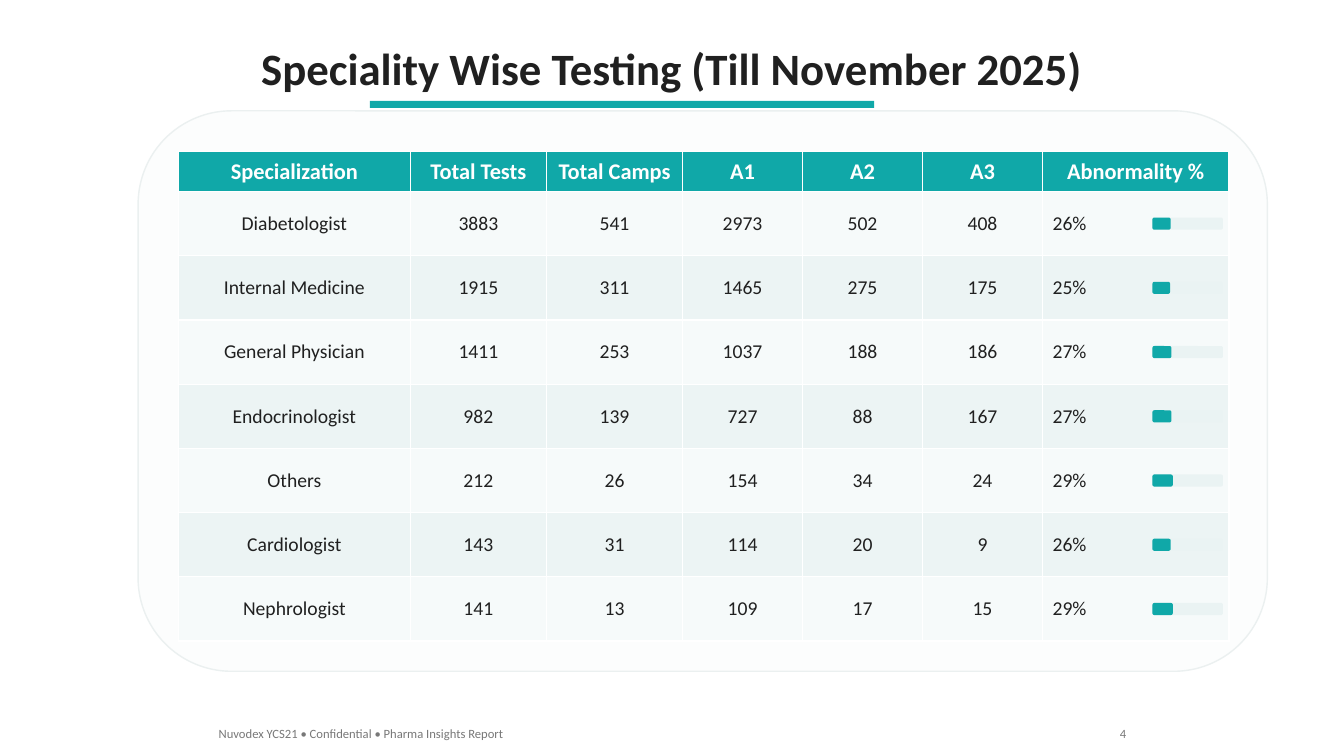
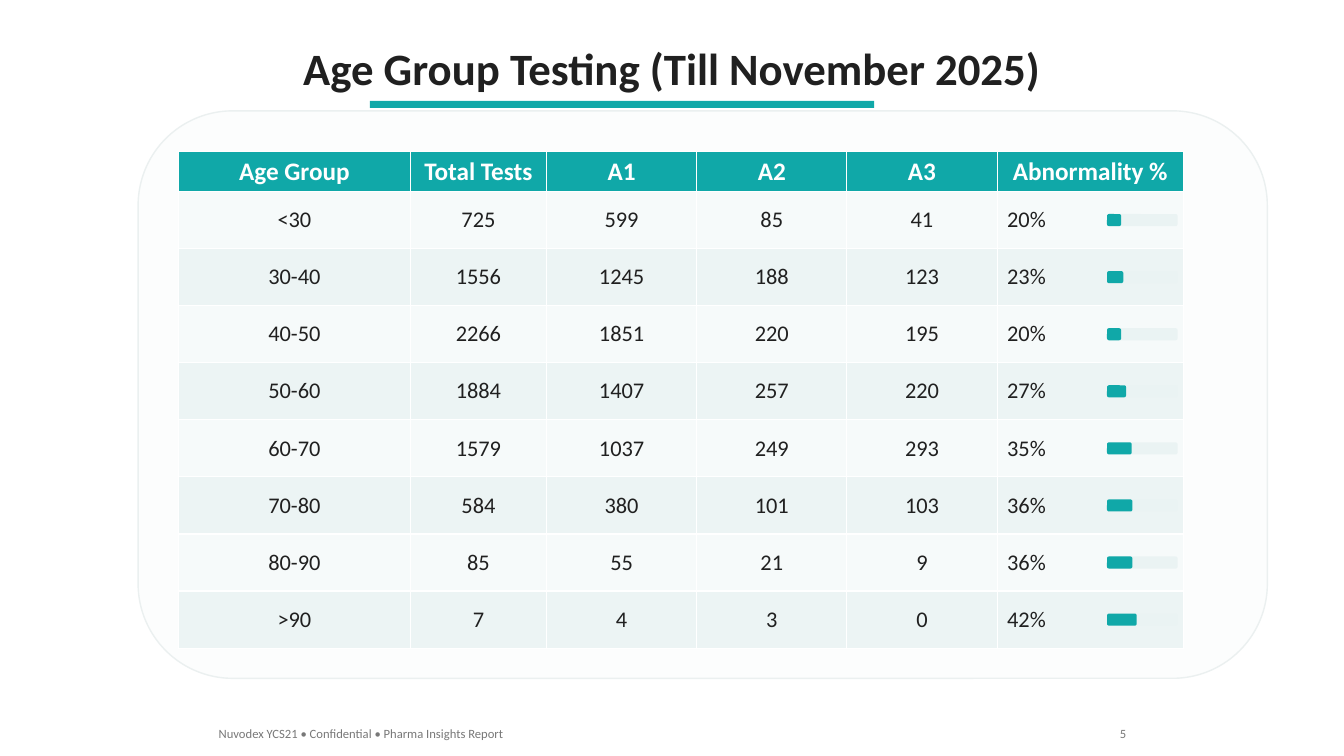
from dataclasses import dataclass

from pptx import Presentation
from pptx.dml.color import RGBColor
from pptx.enum.shapes import MSO_SHAPE
from pptx.enum.text import MSO_ANCHOR, MSO_AUTO_SIZE, PP_ALIGN
from pptx.util import Emu, Pt

SCALE = 9144
SLIDE_WIDTH, SLIDE_HEIGHT = 1333, 750
TABLE_LEFT, TABLE_TOP, HEADER_HEIGHT = 177, 150, 40
CARD_MARGIN, CARD_WIDTH, CARD_EXTRA_HEIGHT = 40, 1120, 70
BAR_WIDTH, BAR_HEIGHT, BAR_INSET = 70, 12, 76
FOOTER = "Nuvodex YCS21 • Confidential • Pharma Insights Report"


@dataclass(frozen=True)
class Theme:
    """Colours and type sizes shared by the slides."""

    font: str = "Calibri"
    accent: str = "10A8A8"
    ink: str = "202020"
    muted: str = "787878"
    white: str = "FFFFFF"
    card: str = "FCFDFD"
    card_line: str = "EBF0F0"
    track: str = "EAF3F3"
    stripes: tuple = ("F6FAFA", "ECF4F4")
    title_size: int = 32
    footer_size: int = 9


THEME = Theme()


@dataclass(frozen=True)
class Report:
    """Content and measures of one table slide."""

    title: str
    title_width: int
    page: int
    header_size: int
    body_size: int
    body_height: int
    column_widths: tuple
    headings: tuple
    rows: tuple


REPORTS = (
    Report(
        title="Speciality Wise Testing (Till November 2025)",
        title_width=843,
        page=4,
        header_size=16,
        body_size=14,
        body_height=446,
        column_widths=(230, 135, 135, 119, 119, 119, 185),
        headings=("Specialization", "Total Tests", "Total Camps", "A1", "A2", "A3", "Abnormality %"),
        rows=(
            ("Diabetologist", 3883, 541, 2973, 502, 408, 26),
            ("Internal Medicine", 1915, 311, 1465, 275, 175, 25),
            ("General Physician", 1411, 253, 1037, 188, 186, 27),
            ("Endocrinologist", 982, 139, 727, 88, 167, 27),
            ("Others", 212, 26, 154, 34, 24, 29),
            ("Cardiologist", 143, 31, 114, 20, 9, 26),
            ("Nephrologist", 141, 13, 109, 17, 15, 29),
        ),
    ),
    Report(
        title="Age Group Testing (Till November 2025)",
        title_width=759,
        page=5,
        header_size=18,
        body_size=16,
        body_height=453,
        column_widths=(230, 135, 149, 149, 149, 185),
        headings=("Age Group", "Total Tests", "A1", "A2", "A3", "Abnormality %"),
        rows=(
            ("<30", 725, 599, 85, 41, 20),
            ("30-40", 1556, 1245, 188, 123, 23),
            ("40-50", 2266, 1851, 220, 195, 20),
            ("50-60", 1884, 1407, 257, 220, 27),
            ("60-70", 1579, 1037, 249, 293, 35),
            ("70-80", 584, 380, 101, 103, 36),
            ("80-90", 85, 55, 21, 9, 36),
            (">90", 7, 4, 3, 0, 42),
        ),
    ),
)


def px(length):
    """Turn a length in px into EMU."""
    return Emu(round(length * SCALE))


def write_text(frame, text, *, size, color, bold=False, align=PP_ALIGN.LEFT):
    """Write one formatted paragraph into a text frame."""
    paragraph = frame.paragraphs[0]
    paragraph.alignment = align
    run = paragraph.add_run()
    run.text = text
    run.font.name = THEME.font
    run.font.size = Pt(size)
    run.font.bold = bold
    run.font.color.rgb = RGBColor.from_string(color)


def add_label(slide, text, left, top, width, height, **text_format):
    """Add an unwrapped text box that fits its text."""
    frame = slide.shapes.add_textbox(px(left), px(top), px(width), px(height)).text_frame
    frame.word_wrap = False
    frame.auto_size = MSO_AUTO_SIZE.SHAPE_TO_FIT_TEXT
    write_text(frame, text, **text_format)


def add_block(slide, left, top, width, height, *, fill, line=None, kind=MSO_SHAPE.ROUNDED_RECTANGLE):
    """Add a flat filled shape with an optional outline."""
    shape = slide.shapes.add_shape(kind, px(left), px(top), px(width), px(height))
    shape.shadow.inherit = False
    shape.fill.solid()
    shape.fill.fore_color.rgb = RGBColor.from_string(fill)
    if line:
        shape.line.color.rgb = RGBColor.from_string(line)
        shape.line.width = Pt(1)
    else:
        shape.line.fill.background()


def fill_cell(cell, text, fill, **text_format):
    """Fill a table cell and write its text."""
    cell.fill.solid()
    cell.fill.fore_color.rgb = RGBColor.from_string(fill)
    cell.vertical_anchor = MSO_ANCHOR.MIDDLE
    write_text(cell.text_frame, text, **text_format)


def add_report_table(slide, report):
    """Add the table with a header row and striped body rows."""
    table = slide.shapes.add_table(
        len(report.rows) + 1,
        len(report.headings),
        px(TABLE_LEFT),
        px(TABLE_TOP),
        px(sum(report.column_widths)),
        px(HEADER_HEIGHT + report.body_height),
    ).table
    table.horz_banding = False
    for column, width in zip(table.columns, report.column_widths):
        column.width = px(width)
    for row in table.rows:
        row.height = px(report.body_height / len(report.rows))
    table.rows[0].height = px(HEADER_HEIGHT)
    for column, heading in enumerate(report.headings):
        fill_cell(table.cell(0, column), heading, THEME.accent, size=report.header_size,
                  color=THEME.white, bold=True, align=PP_ALIGN.CENTER)
    for index, (*values, percent) in enumerate(report.rows):
        for column, value in enumerate((*values, f"{percent}%")):
            align = PP_ALIGN.CENTER if column < len(values) else PP_ALIGN.LEFT
            fill_cell(table.cell(index + 1, column), str(value), THEME.stripes[index % 2],
                      size=report.body_size, color=THEME.ink, align=align)


def add_abnormality_bars(slide, report):
    """Add a progress bar at the right end of each body row."""
    left = TABLE_LEFT + sum(report.column_widths) - BAR_INSET
    row_height = report.body_height / len(report.rows)
    for index, row in enumerate(report.rows):
        top = TABLE_TOP + HEADER_HEIGHT + (index + 0.5) * row_height - BAR_HEIGHT / 2
        add_block(slide, left, top, BAR_WIDTH, BAR_HEIGHT, fill=THEME.track)
        add_block(slide, left, top, BAR_WIDTH * row[-1] / 100, BAR_HEIGHT, fill=THEME.accent)


def add_heading(slide, report):
    """Add the centred title and its accent rule."""
    add_label(slide, report.title, (SLIDE_WIDTH - report.title_width) / 2, 35, report.title_width, 64,
              size=THEME.title_size, color=THEME.ink, bold=True, align=PP_ALIGN.CENTER)
    add_block(slide, 367, 100, 500, 7, fill=THEME.accent, kind=MSO_SHAPE.RECTANGLE)


def add_footer(slide, page):
    """Add the footer line and the page number."""
    style = {"size": THEME.footer_size, "color": THEME.muted}
    add_label(slide, FOOTER, 207, 715, 305, 25, **style)
    add_label(slide, str(page), 1100, 715, 27, 25, align=PP_ALIGN.RIGHT, **style)


def add_report_slide(presentation, report):
    """Add one slide with heading, card, table, bars and footer."""
    slide = presentation.slides.add_slide(presentation.slide_layouts[6])
    add_heading(slide, report)
    add_block(slide, TABLE_LEFT - CARD_MARGIN, TABLE_TOP - CARD_MARGIN, CARD_WIDTH,
              HEADER_HEIGHT + report.body_height + CARD_EXTRA_HEIGHT,
              fill=THEME.card, line=THEME.card_line)
    add_report_table(slide, report)
    add_abnormality_bars(slide, report)
    add_footer(slide, report.page)


def main():
    """Build and save the presentation."""
    presentation = Presentation()
    presentation.slide_width = px(SLIDE_WIDTH)
    presentation.slide_height = px(SLIDE_HEIGHT)
    for report in REPORTS:
        add_report_slide(presentation, report)
    presentation.save("out.pptx")


if __name__ == "__main__":
    main()
